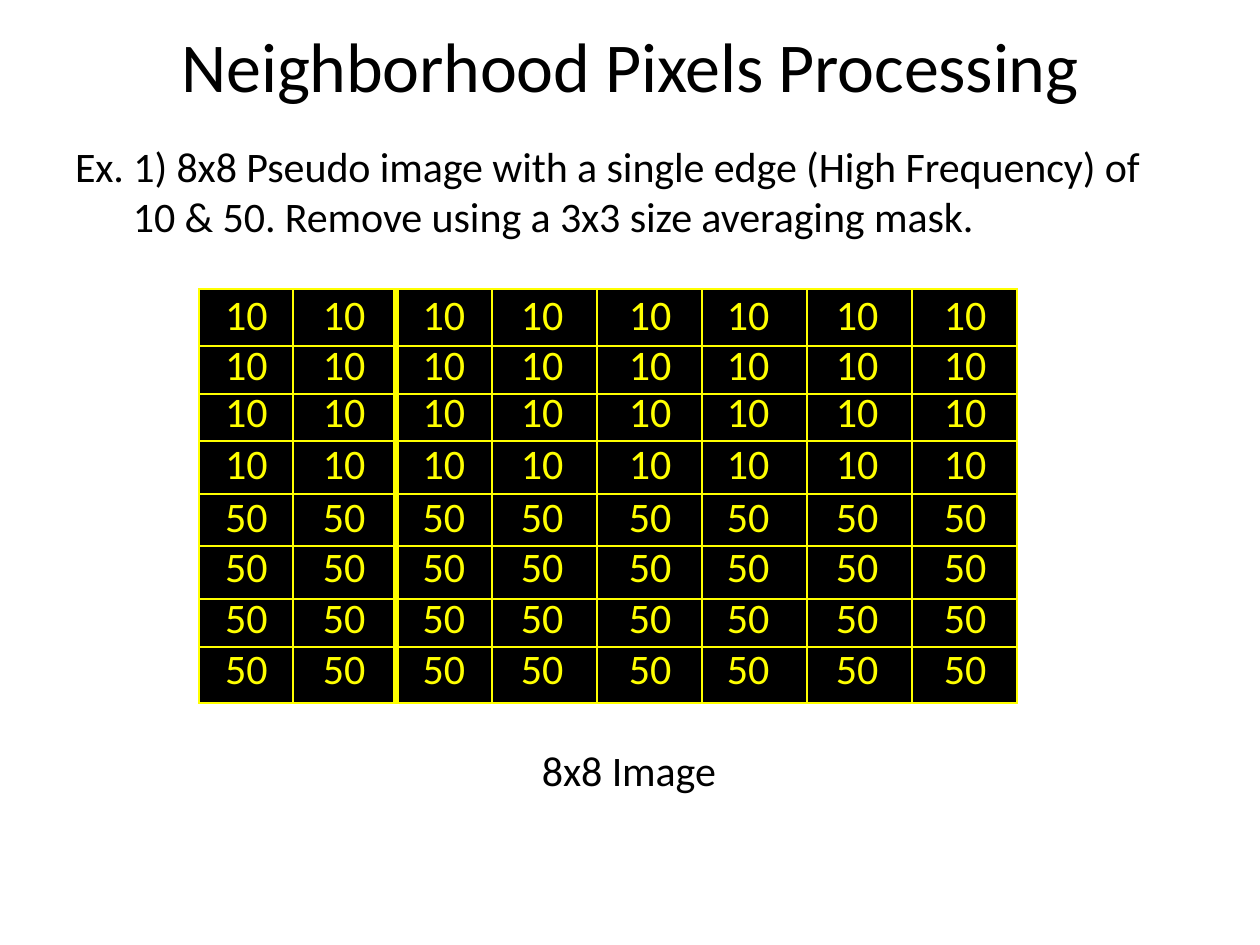
from dataclasses import dataclass
from typing import Optional

from lxml import etree
from pptx import Presentation
from pptx import util as u
from pptx.dml import color
from pptx.enum import text
from pptx.oxml import ns

SCALE = 914400 / 126
COLORS = {"ink": "000000", "pixel": "FFFF00", "cell": "000000"}


@dataclass
class Column:
    width: int
    indent: Optional[int]


@dataclass
class Row:
    height: int
    value: str
    inset: int
    leading: Optional[float]


COLUMNS = [
    Column(94, 26), Column(103, 30), Column(96, None), Column(105, 29),
    Column(105, 32), Column(105, 25), Column(105, 29), Column(105, 32),
]
ROWS = [
    Row(57, "10", 2, None), Row(48, "10", 0, 26.1),
    Row(47, "10", 0, 25.9), Row(53, "10", 1, 28),
    Row(52, "50", 0, 28.6), Row(53, "50", 0, 27.6),
    Row(48, "50", 0, 26.1), Row(56, "50", 0, 28.1),
]
COLUMN_RULES = [1.5, 1.5, 4.25, 1, 1, 1.5, 1.5, 1.5, 1]
ROW_RULE = 1.5


def px(length: int) -> u.Emu:
    return u.Emu(round(length * SCALE))


def rgb(name: str) -> color.RGBColor:
    return color.RGBColor.from_string(COLORS[name])


def write(frame, words: str, *, size=24, ink="ink", align=text.PP_ALIGN.LEFT,
          left=0, hanging=0, leading=None, tracking=0) -> None:
    paragraph = frame.paragraphs[0]
    properties = paragraph._p.get_or_add_pPr()
    properties.set("marL", str(px(left)))
    properties.set("indent", str(px(-hanging)))
    etree.SubElement(properties, ns.qn("a:buNone"))
    paragraph.alignment = align
    paragraph.space_before = u.Pt(0)
    if leading:
        paragraph.line_spacing = u.Pt(leading)
    run = paragraph.add_run()
    run.text = words
    run.font.name = "Calibri"
    run.font.size = u.Pt(size)
    run.font.color.rgb = rgb(ink)
    if tracking:
        run._r.get_or_add_rPr().set("spc", str(tracking))


def place(shape, left: int, top: int, width: int, height: int,
          anchor=text.MSO_ANCHOR.TOP):
    shape.left, shape.top = px(left), px(top)
    shape.width, shape.height = px(width), px(height)
    frame = shape.text_frame
    frame.word_wrap = True
    frame.auto_size = text.MSO_AUTO_SIZE.SHAPE_TO_FIT_TEXT
    frame.vertical_anchor = anchor
    frame.margin_left = frame.margin_right = frame.margin_bottom = 0
    frame.margin_top = px(1)
    return frame


def draw_borders(cell, widths: dict[str, float]) -> None:
    properties = cell._tc.get_or_add_tcPr()
    for side, width in widths.items():
        line = etree.SubElement(properties, ns.qn(f"a:ln{side}"), w=str(u.Pt(width)))
        fill = etree.SubElement(line, ns.qn("a:solidFill"))
        etree.SubElement(fill, ns.qn("a:srgbClr"), val=COLORS["pixel"])


def draw_pixel(cell, row: Row, column: Column, left_rule: float, right_rule: float) -> None:
    draw_borders(cell, {"L": left_rule, "R": right_rule, "T": ROW_RULE, "B": ROW_RULE})
    cell.fill.solid()
    cell.fill.fore_color.rgb = rgb("cell")
    cell.margin_left = cell.margin_right = cell.margin_bottom = 0
    cell.margin_top = px(row.inset)
    centred = column.indent is None
    write(cell.text_frame, row.value, ink="pixel", left=column.indent or 0,
          align=text.PP_ALIGN.CENTER if centred else text.PP_ALIGN.LEFT,
          leading=row.leading)


def draw_pixels(slide, left: int, top: int) -> None:
    width = sum(column.width for column in COLUMNS)
    height = sum(row.height for row in ROWS)
    grid = slide.shapes.add_table(len(ROWS), len(COLUMNS), px(left), px(top),
                                  px(width), px(height)).table
    grid.first_row = grid.horz_banding = False
    for c, column in enumerate(COLUMNS):
        grid.columns[c].width = px(column.width)
    for r, row in enumerate(ROWS):
        grid.rows[r].height = px(row.height)
        for c, column in enumerate(COLUMNS):
            draw_pixel(grid.cell(r, c), row, column, *COLUMN_RULES[c:c + 2])


def main() -> None:
    deck = Presentation()
    deck.slide_width, deck.slide_height = px(1260), px(945)
    slide = deck.slides.add_slide(deck.slide_layouts[1])
    title = place(slide.shapes.title, 63, 21, 1134, 87, text.MSO_ANCHOR.MIDDLE)
    write(title, "Neighborhood Pixels Processing", size=40,
          align=text.PP_ALIGN.CENTER, tracking=-10)
    example = place(slide.placeholders[1], 74, 139, 1072, 105)
    write(example, "Ex. 1) 8x8 Pseudo image with a single edge (High Frequency) of "
          "10 & 50. Remove using a 3x3 size averaging mask.",
          left=59, hanging=58, tracking=-5)
    draw_pixels(slide, 199, 289)
    caption = place(slide.shapes.add_textbox(0, 0, 0, 0), 541, 743, 178, 54)
    write(caption, "8x8 Image", left=1, tracking=-5)
    deck.save("out.pptx")


if __name__ == "__main__":
    main()
